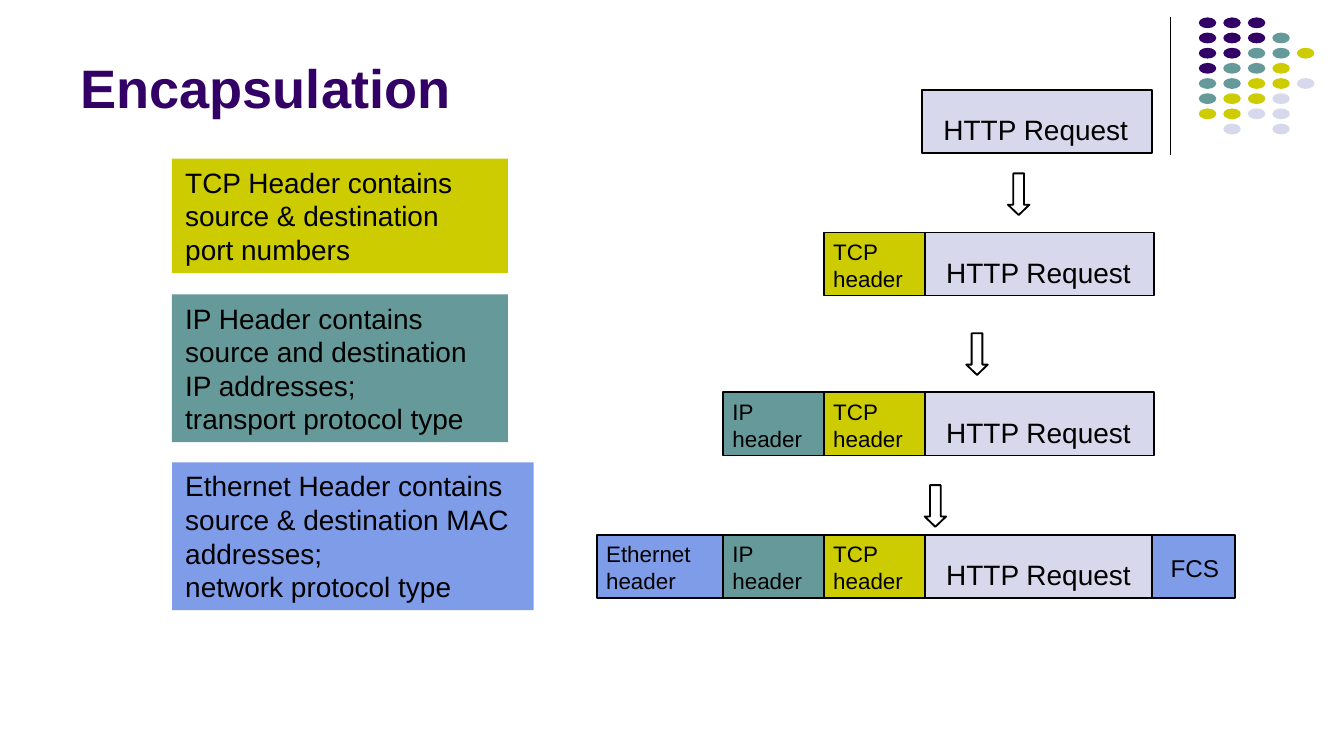
from lxml.etree import SubElement
from pptx import Presentation
from pptx.dml.color import RGBColor
from pptx.enum.shapes import MSO_CONNECTOR, MSO_SHAPE
from pptx.enum.text import MSO_ANCHOR, PP_ALIGN
from pptx.oxml.ns import qn
from pptx.util import Inches, Pt

PURPLE, TEAL, OLIVE = "330066", "669999", "CCCC00"
LAVENDER, BLUE, BLACK, WHITE = "D8D8EC", "7E9CE8", "000000", "FFFFFF"


def rgb(color):
    return RGBColor.from_string(color)


def add_shape(s, kind, box, fill, line=None):
    sp = s.shapes.add_shape(kind, *[Inches(v) for v in box])
    sp.shadow.inherit = False
    sp.fill.solid()
    sp.fill.fore_color.rgb = rgb(fill)
    if line:
        sp.line.color.rgb = rgb(line)
        sp.line.width = Pt(1)
    else:
        sp.line.fill.background()
    return sp


def set_text(sp, text, size, anchor, insets=(0.1, 0.05, 0.1, 0.05),
             color=BLACK, bold=False):
    tf = sp.text_frame
    tf.word_wrap = True
    tf.vertical_anchor = anchor
    tf.margin_left, tf.margin_top, tf.margin_right, tf.margin_bottom = [
        Inches(v) for v in insets]
    tf.text = text
    for p in tf.paragraphs:
        p.alignment = PP_ALIGN.LEFT
        for r in p.runs:
            r.font.name = "Arial"
            r.font.size = Pt(size)
            r.font.bold = bold
            r.font.color.rgb = rgb(color)


def add_title(s, box):
    sp = s.shapes.add_textbox(*[Inches(v) for v in box])
    set_text(sp, "Encapsulation", 29, MSO_ANCHOR.BOTTOM,
             color=PURPLE, bold=True)


def add_corner(s, left, top, width, height):
    # Vertical rule
    rule = s.shapes.add_connector(
        MSO_CONNECTOR.STRAIGHT, Inches(left), Inches(top),
        Inches(left), Inches(top + height))
    rule.line.color.rgb = rgb(BLACK)
    rule.line.width = Pt(0.75)
    SubElement(rule.element.spPr, qn("a:effectLst"))

    # Dot grid: one letter per dot, a dot (.) for a gap
    colors = {"P": PURPLE, "T": TEAL, "O": OLIVE, "L": LAVENDER}
    rows = ["PPP", "PPPT", "PPTTO", "PTTO", "TTOOL", "TOOL", "OOLL", ".L.L"]
    dot_w, dot_h, offset = 0.13, 0.08, 0.21
    step_x = (width - offset - dot_w) / 4
    step_y = 0.79 / (len(rows) - 1)
    for j, row in enumerate(rows):
        for i, letter in enumerate(row):
            if letter in colors:
                box = (left + offset + i * step_x, top + j * step_y,
                       dot_w, dot_h)
                add_shape(s, MSO_SHAPE.OVAL, box, colors[letter])


def add_notes_column(s, left):
    notes = [
        ("TCP Header contains source & destination port numbers",
         OLIVE, 1.18, 2.5, 0.85),
        ("IP Header contains source and destination IP addresses;\v"
         "transport protocol type", TEAL, 2.19, 2.5, 1.1),
        ("Ethernet Header contains source & destination MAC addresses;\v"
         "network protocol type", BLUE, 3.44, 2.69, 1.1),
    ]
    for text, fill, top, width, height in notes:
        sp = add_shape(s, MSO_SHAPE.RECTANGLE, (left, top, width, height), fill)
        set_text(sp, text, 15, MSO_ANCHOR.MIDDLE)


def add_packet(s, names, top, shift=0):
    # Each field keeps its column in every packet: offset, width, fill
    fields = {
        "Ethernet header": (4.44, 0.94, BLUE),
        "IP header": (5.38, 0.77, TEAL),
        "TCP header": (6.13, 0.77, OLIVE),
        "HTTP Request": (6.88, 1.71, LAVENDER),
        "FCS": (8.57, 0.62, BLUE),
    }
    styles = {
        "HTTP Request": (15, MSO_ANCHOR.BOTTOM, (0.16, 0.05, 0.05, 0.05)),
        "FCS": (13, MSO_ANCHOR.MIDDLE, (0.14, 0.05, 0.02, 0.03)),
    }
    header_style = (12, MSO_ANCHOR.TOP, (0.07, 0.04, 0.07, 0.04))
    for name in names:
        left, width, fill = fields[name]
        sp = add_shape(s, MSO_SHAPE.RECTANGLE,
                       (left + shift, top, width, 0.47), fill, BLACK)
        set_text(sp, name, *styles.get(name, header_style))


def add_down_arrow(s, left, top):
    sp = add_shape(s, MSO_SHAPE.DOWN_ARROW, (left, top, 0.16, 0.31),
                   WHITE, BLACK)
    sp.adjustments[0], sp.adjustments[1] = 0.5, 0.48


def add_encapsulation(s):
    names = ["Ethernet header", "IP header", "TCP header", "HTTP Request"]
    add_packet(s, names[3:], 0.67, shift=-0.02)
    add_packet(s, names[2:], 1.73)
    add_packet(s, names[1:], 2.92)
    add_packet(s, names + ["FCS"], 3.98)
    for left, top in [(7.5, 1.29), (7.19, 2.48), (6.88, 3.61)]:
        add_down_arrow(s, left, top)


def main():
    prs = Presentation()
    prs.slide_width = Inches(10)
    prs.slide_height = prs.slide_width * 9 // 16
    s = prs.slides.add_slide(prs.slide_layouts[6])
    add_corner(s, 8.71, 0.13, 1.07, 1.02)
    add_title(s, (0.5, 0.1, 8.25, 0.84))
    add_notes_column(s, 1.28)
    add_encapsulation(s)
    prs.save("out.pptx")


if __name__ == "__main__":
    main()
